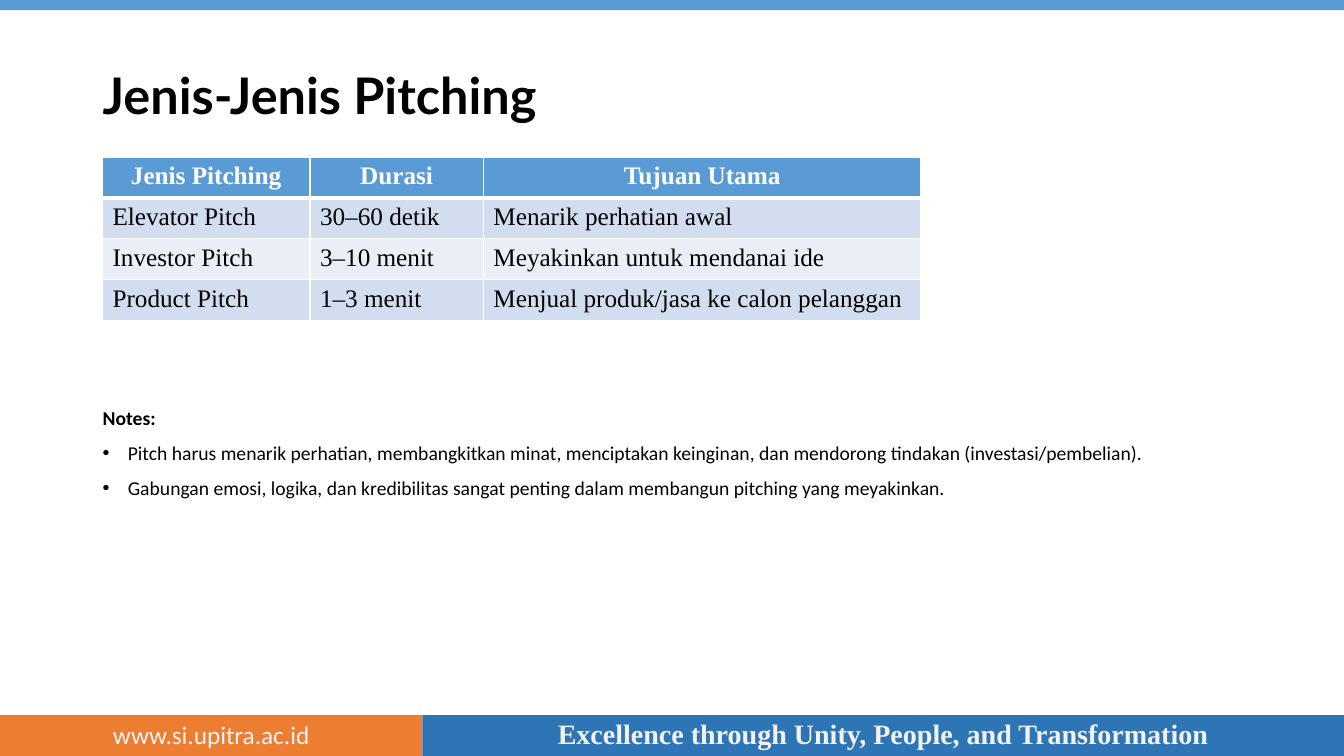
from lxml.etree import SubElement
from pptx import Presentation
from pptx.dml.color import RGBColor
from pptx.enum.shapes import MSO_SHAPE
from pptx.enum.text import MSO_ANCHOR, PP_ALIGN
from pptx.oxml.ns import qn
from pptx.util import Inches, Pt

COLUMNS, ROWS = 160, 90
SLIDE_WIDTH, SLIDE_HEIGHT = Inches(13.33), Inches(7.5)

BLACK = RGBColor(0x00, 0x00, 0x00)
WHITE = RGBColor(0xFF, 0xFF, 0xFF)
PALE_GREY = RGBColor(0xF2, 0xF2, 0xF2)
ORANGE = RGBColor(0xED, 0x7D, 0x31)
DARK_BLUE = RGBColor(0x2E, 0x75, 0xB6)
BLUE = RGBColor(0x5B, 0x9B, 0xD5)
BAND_COLORS = RGBColor(0xD2, 0xDE, 0xEF), RGBColor(0xEA, 0xEF, 0xF7)

SANS, SERIF, TITLE_FONT = "Calibri", "Times New Roman", "Lato"

FOOTER_TOP = 85.15
FOOTER_SPLIT = 50.3
MARGIN = 11.04

TABLE_COLUMNS = 24.7, 20.65, 52.1
TABLE_ROW = 4.86
PITCHES = [
    ("Jenis Pitching", "Durasi", "Tujuan Utama"),
    ("Elevator Pitch", "30–60 detik", "Menarik perhatian awal"),
    ("Investor Pitch", "3–10 menit", "Meyakinkan untuk mendanai ide"),
    ("Product Pitch", "1–3 menit", "Menjual produk/jasa ke calon pelanggan"),
]
NOTES = [
    "Pitch harus menarik perhatian, membangkitkan minat, menciptakan "
    "keinginan, dan mendorong tindakan (investasi/pembelian).",
    "Gabungan emosi, logika, dan kredibilitas sangat penting dalam "
    "membangun pitching yang meyakinkan.",
]


def across(columns):
    return round(SLIDE_WIDTH * columns / COLUMNS)


def down(rows):
    return round(SLIDE_HEIGHT * rows / ROWS)


def grid_box(left, top, width, height):
    return across(left), down(top), across(width), down(height)


def add_bar(slide, box, color):
    bar = slide.shapes.add_shape(MSO_SHAPE.RECTANGLE, *grid_box(*box))
    bar.shadow.inherit = False
    bar.fill.solid()
    bar.fill.fore_color.rgb = color
    bar.line.fill.background()


def add_text_frame(slide, box, anchor=MSO_ANCHOR.TOP):
    text_frame = slide.shapes.add_textbox(*grid_box(*box)).text_frame
    text_frame.word_wrap = True
    text_frame.vertical_anchor = anchor
    return text_frame


def write(paragraph, text, font, size, color=BLACK, bold=False, align=PP_ALIGN.LEFT):
    paragraph.alignment = align
    run = paragraph.add_run()
    run.text = text
    run.font.name = font
    run.font.size = Pt(size)
    run.font.bold = bold
    run.font.color.rgb = color


def add_bullet(paragraph, indent):
    properties = paragraph._p.get_or_add_pPr()
    properties.set("marL", str(indent))
    properties.set("indent", str(-indent))
    SubElement(properties, qn("a:buFont"), typeface="Arial")
    SubElement(properties, qn("a:buChar"), char="•")


def set_cell_borders(cell, widths):
    """Draw white borders; widths gives points for left, right, top, bottom."""
    properties = cell._tc.get_or_add_tcPr()
    for position, (side, width) in enumerate(zip("LRTB", widths)):
        line = SubElement(properties, qn(f"a:ln{side}"), w=str(Pt(width)))
        fill = SubElement(line, qn("a:solidFill"))
        SubElement(fill, qn("a:srgbClr"), val=str(WHITE))
        properties.insert(position, line)


def add_pitch_table(slide):
    box = grid_box(12.2, 18.7, sum(TABLE_COLUMNS), TABLE_ROW * len(PITCHES))
    table = slide.shapes.add_table(len(PITCHES), len(TABLE_COLUMNS), *box).table
    for column, width in zip(table.columns, TABLE_COLUMNS):
        column.width = across(width)
    for row_index, texts in enumerate(PITCHES):
        table.rows[row_index].height = down(TABLE_ROW)
        header = row_index == 0
        for column_index, text in enumerate(texts):
            cell = table.cell(row_index, column_index)
            cell.fill.solid()
            cell.fill.fore_color.rgb = BLUE if header else BAND_COLORS[(row_index - 1) % 2]
            set_cell_borders(cell, (1, 1, 3 if row_index == 1 else 1, 3 if header else 1))
            write(cell.text_frame.paragraphs[0], text, SERIF, 18,
                  WHITE if header else BLACK, header,
                  PP_ALIGN.CENTER if header else PP_ALIGN.LEFT)


def add_notes_list(slide):
    text_frame = add_text_frame(slide, (MARGIN, 48, 138, 14))
    heading = text_frame.paragraphs[0]
    heading.line_spacing = 0.9
    write(heading, "Notes:", SANS, 14, bold=True)
    for note in NOTES:
        paragraph = text_frame.add_paragraph()
        paragraph.line_spacing = 0.9
        paragraph.space_before = Pt(10)
        add_bullet(paragraph, across(3))
        write(paragraph, note, SANS, 14)


def add_footer(slide):
    slogan_width = COLUMNS - FOOTER_SPLIT
    add_bar(slide, (0, FOOTER_TOP, FOOTER_SPLIT, ROWS - FOOTER_TOP), ORANGE)
    add_bar(slide, (FOOTER_SPLIT, FOOTER_TOP, slogan_width, ROWS - FOOTER_TOP), DARK_BLUE)
    address = add_text_frame(slide, (0, 85, FOOTER_SPLIT, 4.8))
    write(address.paragraphs[0], "www.si.upitra.ac.id", SANS, 18, PALE_GREY,
          align=PP_ALIGN.CENTER)
    slogan = add_text_frame(slide, (FOOTER_SPLIT, 84.7, slogan_width, 5.25))
    write(slogan.paragraphs[0], "Excellence through Unity, People, and Transformation",
          SERIF, 20, PALE_GREY, True, PP_ALIGN.CENTER)


def main():
    presentation = Presentation()
    presentation.slide_width = SLIDE_WIDTH
    presentation.slide_height = SLIDE_HEIGHT
    slide = presentation.slides.add_slide(presentation.slide_layouts[6])

    add_footer(slide)
    add_bar(slide, (0, 0, COLUMNS, 1.2), BLUE)
    title = add_text_frame(slide, (MARGIN, 6.1, 132, 11.2), MSO_ANCHOR.MIDDLE)
    title.paragraphs[0].line_spacing = 0.9
    write(title.paragraphs[0], "Jenis-Jenis Pitching", TITLE_FONT, 36, bold=True)
    add_notes_list(slide)
    add_pitch_table(slide)
    presentation.save("out.pptx")


if __name__ == "__main__":
    main()
